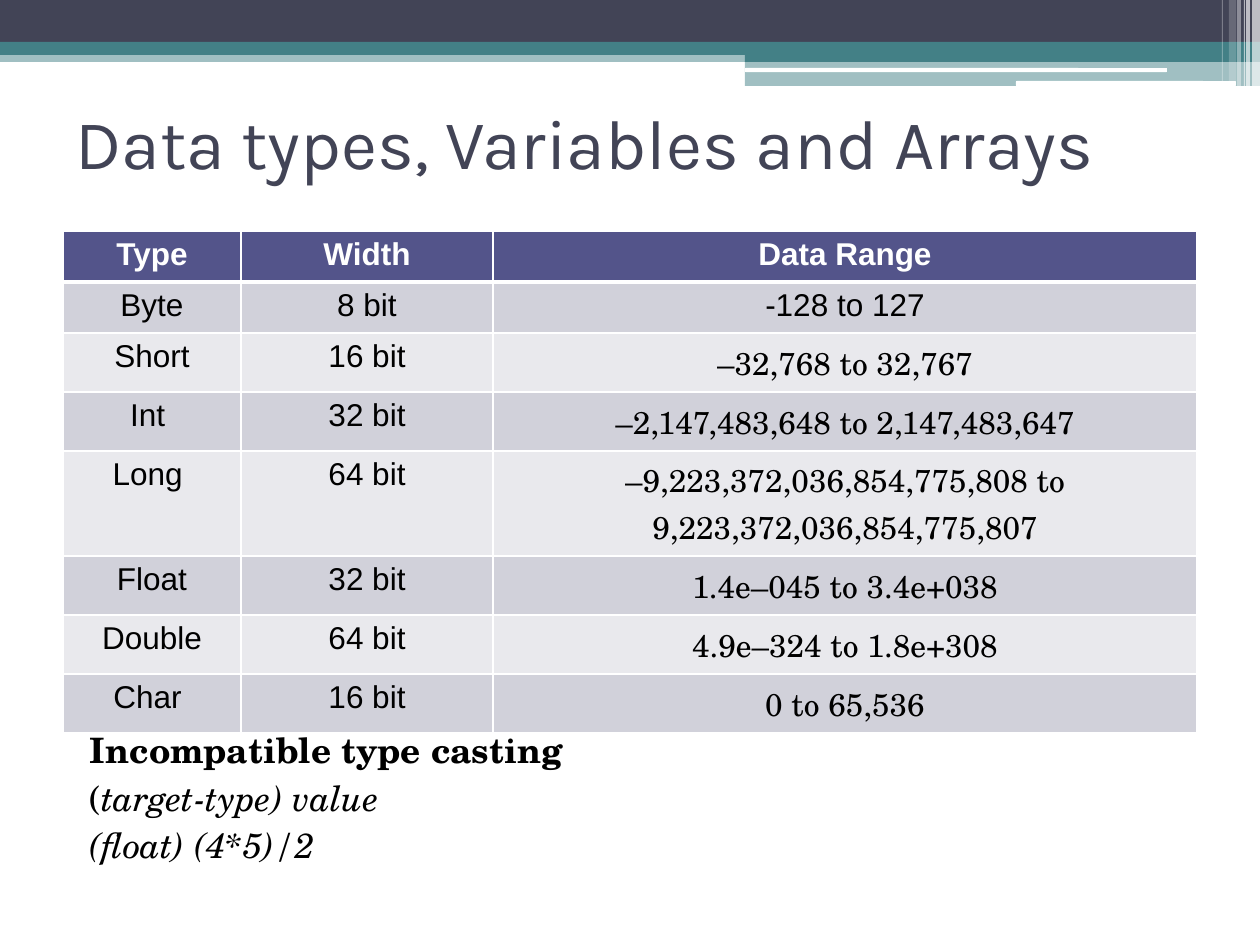
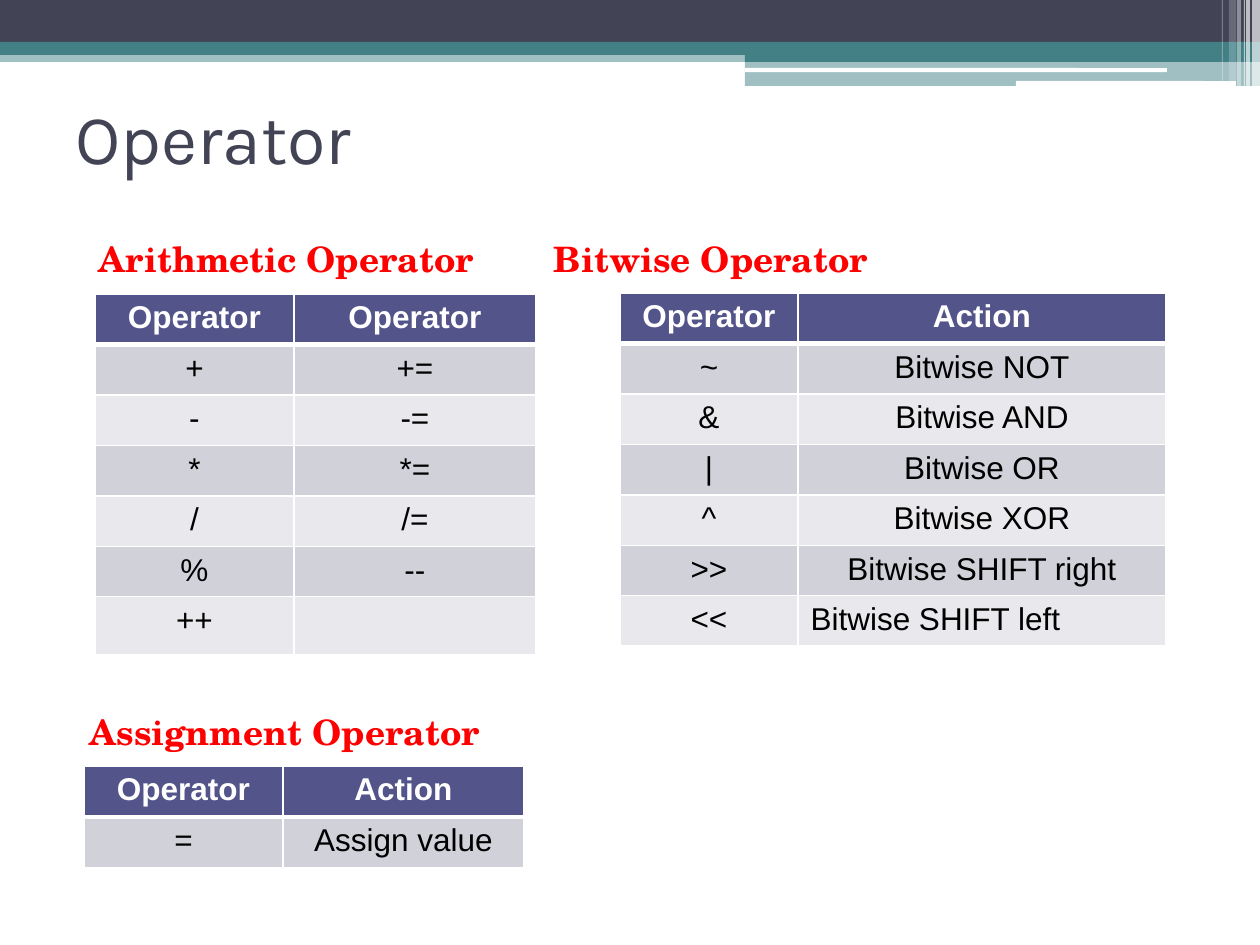
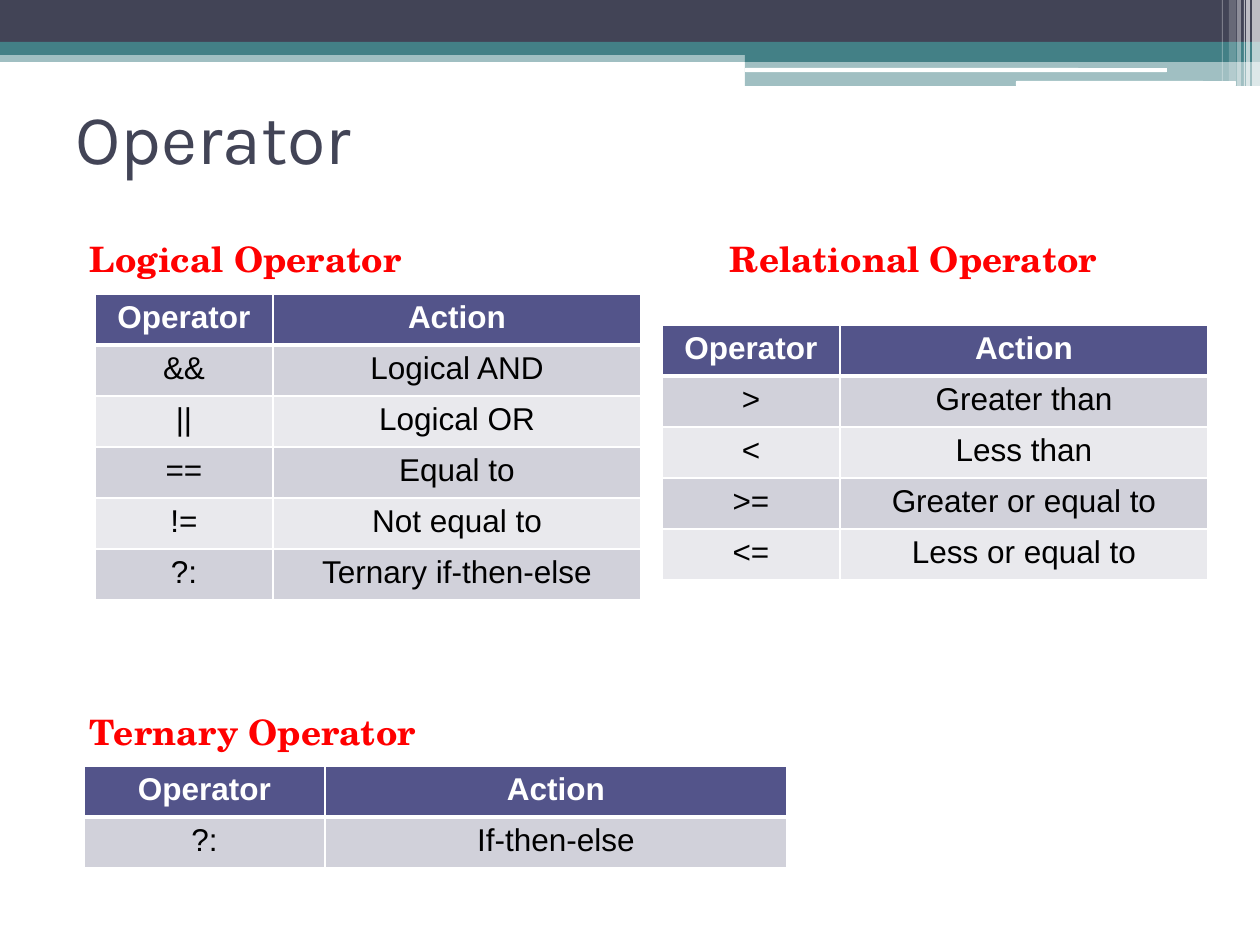
from lxml import etree
from pptx import Presentation
from pptx.dml.color import RGBColor
from pptx.enum.shapes import MSO_SHAPE
from pptx.enum.text import MSO_ANCHOR, MSO_AUTO_SIZE, PP_ALIGN
from pptx.oxml.ns import qn
from pptx.util import Pt

RECTANGLE = MSO_SHAPE.RECTANGLE
ROUNDED = MSO_SHAPE.ROUNDED_RECTANGLE
LEFT, CENTER = PP_ALIGN.LEFT, PP_ALIGN.CENTER
MIDDLE = MSO_ANCHOR.MIDDLE
FIXED_SIZE = MSO_AUTO_SIZE.NONE

EMU_PER_PX = 914400 / 126
TITLE_ONLY = 5
TITLE_FONT, TABLE_FONT, TEXT_FONT = "Karla", "Arial", "TeX Gyre Schola"
DARK, TEAL, WHITE, BLACK, RED = "424456", "438086", "FFFFFF", "000000", "FF0000"
HEADER_FILL, BAND_FILLS = "53548A", ("D1D1DA", "E9E9ED")

# Header band: kind, left, top, width, height, colour, opacity in percent
HEADER_BAND = [
    (RECTANGLE, 0, 50, 1260, 12, TEAL, 50),
    (RECTANGLE, 0, 0, 1260, 43, DARK, 100),
    (RECTANGLE, 0, 42, 1260, 13, TEAL, 100),
    (RECTANGLE, 745, 49, 515, 13, TEAL, 100),
    (RECTANGLE, 745, 61, 515, 25, TEAL, 50),
    (ROUNDED, 745, 68, 422, 4, WHITE, 100),
    (ROUNDED, 1016, 81, 220, 5, WHITE, 100),
    (RECTANGLE, 1252, 0, 8, 86, WHITE, 65),
    (RECTANGLE, 1246, 0, 4, 86, WHITE, 65),
    (RECTANGLE, 1244, 0, 1, 86, WHITE, 60),
    (RECTANGLE, 1237, 0, 4, 86, WHITE, 40),
    (RECTANGLE, 1229, 0, 7, 81, WHITE, 20),
    (RECTANGLE, 1222, 0, 1, 81, WHITE, 30),
]


def px(length):
    return round(length * EMU_PER_PX)


def color(value):
    return RGBColor.from_string(value)


def format_run(run, font, size, fill, bold=False, italic=False):
    run.font.name = font
    run.font.size = Pt(size)
    run.font.color.rgb = color(fill)
    run.font.bold = bold
    run.font.italic = italic


def set_borders(cell, top, bottom):
    """Draw white borders; top and bottom widths are in points."""
    properties = cell._tc.get_or_add_tcPr()
    sides = (("lnL", 1), ("lnR", 1), ("lnT", top), ("lnB", bottom))
    for position, (side, width) in enumerate(sides):
        line = etree.Element(qn(f"a:{side}"), w=str(Pt(width)))
        fill = etree.SubElement(line, qn("a:solidFill"))
        etree.SubElement(fill, qn("a:srgbClr"), val=WHITE)
        properties.insert(position, line)


class Deck:
    def __init__(self):
        self.presentation = Presentation()
        self.presentation.slide_width = px(1260)
        self.presentation.slide_height = px(945)
        self.slide = None

    def add_slide(self, title, title_height):
        layout = self.presentation.slide_layouts[TITLE_ONLY]
        self.slide = self.presentation.slides.add_slide(layout)
        for band in HEADER_BAND:
            self.add_band(*band)
        self.set_title(title, title_height)

    def add_band(self, kind, left, top, width, height, fill, opacity):
        shape = self.slide.shapes.add_shape(kind, px(left), px(top), px(width), px(height))
        shape.shadow.inherit = False
        shape.fill.solid()
        shape.fill.fore_color.rgb = color(fill)
        shape.line.fill.background()
        if opacity < 100:
            color_element = shape.fill._xPr.find(".//" + qn("a:srgbClr"))
            etree.SubElement(color_element, qn("a:alpha"), val=str(opacity * 1000))

    def set_title(self, text, height):
        shape = self.slide.shapes.title
        shape.left, shape.top, shape.width, shape.height = px(63), px(84), px(1134), px(height)
        frame = shape.text_frame
        frame.text = text
        frame.auto_size = FIXED_SIZE
        frame.vertical_anchor = MIDDLE
        paragraph = frame.paragraphs[0]
        paragraph.alignment = LEFT
        format_run(paragraph.runs[0], TITLE_FONT, 40, DARK)

    def add_text(self, left, top, width, lines, fill):
        """Each line is a list of runs: text, bold, italic."""
        shape = self.slide.shapes.add_textbox(px(left), px(top), px(width), px(47 * len(lines)))
        frame = shape.text_frame
        frame.word_wrap = True
        frame.margin_left = frame.margin_right = frame.margin_top = frame.margin_bottom = 0
        for index, line in enumerate(lines):
            paragraph = frame.add_paragraph() if index else frame.paragraphs[0]
            paragraph.space_before = Pt(3)
            paragraph.line_spacing = Pt(24)
            for text, bold, italic in line:
                run = paragraph.add_run()
                run.text = text
                format_run(run, TEXT_FONT, 20, fill, bold, italic)

    def add_heading(self, left, top, text):
        self.add_text(left, top, 440, [[(text, True, False)]], RED)

    def add_table(self, left, top, widths, heights, rows):
        frame = self.slide.shapes.add_table(
            len(rows), len(widths), px(left), px(top), px(sum(widths)), px(sum(heights)))
        table = frame.table
        table.horz_banding = False
        for column, width in zip(table.columns, widths):
            column.width = px(width)
        for index, (row, height) in enumerate(zip(table.rows, heights)):
            row.height = px(height)
            for cell, text in zip(row.cells, rows[index]):
                self.fill_cell(cell, text, index)
        return table

    def fill_cell(self, cell, text, row_index):
        is_header = row_index == 0
        cell.fill.solid()
        cell.fill.fore_color.rgb = color(
            HEADER_FILL if is_header else BAND_FILLS[(row_index - 1) % 2])
        set_borders(cell, 3 if row_index == 1 else 1, 3 if is_header else 1)
        if text:
            cell.text = text
            paragraph = cell.text_frame.paragraphs[0]
            paragraph.alignment = CENTER
            format_run(paragraph.runs[0], TABLE_FONT, 18, WHITE if is_header else BLACK, is_header)


def build_data_types(deck):
    deck.add_slide("Data types, Variables and Arrays", 116)
    types = deck.add_table(63, 231, [178, 252, 704], [51, 51, 59, 59, 105, 59, 59, 58], [
        ("Type", "Width", "Data Range"),
        ("Byte", "8 bit", "-128 to 127"),
        ("Short", "16 bit", "–32,768 to 32,767"),
        ("Int ", "32 bit", "–2,147,483,648 to 2,147,483,647"),
        ("Long ", "64 bit", "–9,223,372,036,854,775,808 to 9,223,372,036,854,775,807"),
        ("Float", "32 bit", "1.4e–045 to 3.4e+038"),
        ("Double", "64 bit", "4.9e–324 to 1.8e+308"),
        ("Char ", "16 bit", "0 to 65,536"),
    ])
    # Ranges below the byte row use the text font
    for row_index in range(2, len(types.rows)):
        types.cell(row_index, 2).text_frame.paragraphs[0].runs[0].font.name = TEXT_FONT
    deck.add_text(90, 729, 1000, [
        [("Incompatible type casting", True, False)],
        [("(", False, False), ("target-type) value", False, True)],
        [("(float) (4*5)/2", False, True)],
    ], BLACK)


def build_arithmetic_and_bitwise(deck):
    deck.add_slide("Operator", 105)
    deck.add_heading(99, 237, "Arithmetic Operator")
    deck.add_heading(554, 237, "Bitwise Operator")
    deck.add_heading(90, 710, "Assignment Operator")
    deck.add_table(95, 294, [199, 242], [48] * 6 + [58], [
        ("Operator", "Operator"),
        ("+", "+="),
        ("-", "-="),
        ("*", "*="),
        ("/", "/="),
        ("%", "--"),
        ("++", ""),
    ])
    bitwise = deck.add_table(620, 293, [178, 368], [48] * 7, [
        ("Operator", "Action"),
        ("~", "Bitwise NOT"),
        ("&", "Bitwise AND"),
        ("|", "Bitwise OR"),
        ("^", "Bitwise XOR"),
        (">>", "Bitwise SHIFT right"),
        ("<<", "Bitwise SHIFT left"),
    ])
    bitwise.cell(6, 1).text_frame.paragraphs[0].alignment = LEFT
    deck.add_table(84, 766, [199, 241], [51] * 2, [
        ("Operator", "Action"),
        ("=", "Assign value"),
    ])


def build_logical_and_relational(deck):
    deck.add_slide("Operator", 105)
    deck.add_heading(90, 237, "Logical Operator")
    deck.add_heading(730, 237, "Relational Operator")
    deck.add_heading(90, 710, "Ternary Operator")
    deck.add_table(95, 294, [178, 368], [51] * 6, [
        ("Operator", "Action"),
        ("&&", "Logical AND"),
        ("||", "Logical OR"),
        ("==", "Equal to"),
        ("!=", "Not equal to"),
        ("?:", "Ternary if-then-else"),
    ])
    deck.add_table(662, 325, [178, 368], [51] * 5, [
        ("Operator", "Action"),
        (">", "Greater than"),
        ("<", "Less than"),
        (">=", "Greater or equal to"),
        ("<=", "Less or equal to"),
    ])
    deck.add_table(84, 766, [241, 462], [51] * 2, [
        ("Operator", "Action"),
        ("?:", "If-then-else"),
    ])


def main():
    deck = Deck()
    build_data_types(deck)
    build_arithmetic_and_bitwise(deck)
    build_logical_and_relational(deck)
    deck.presentation.save("out.pptx")


if __name__ == "__main__":
    main()
